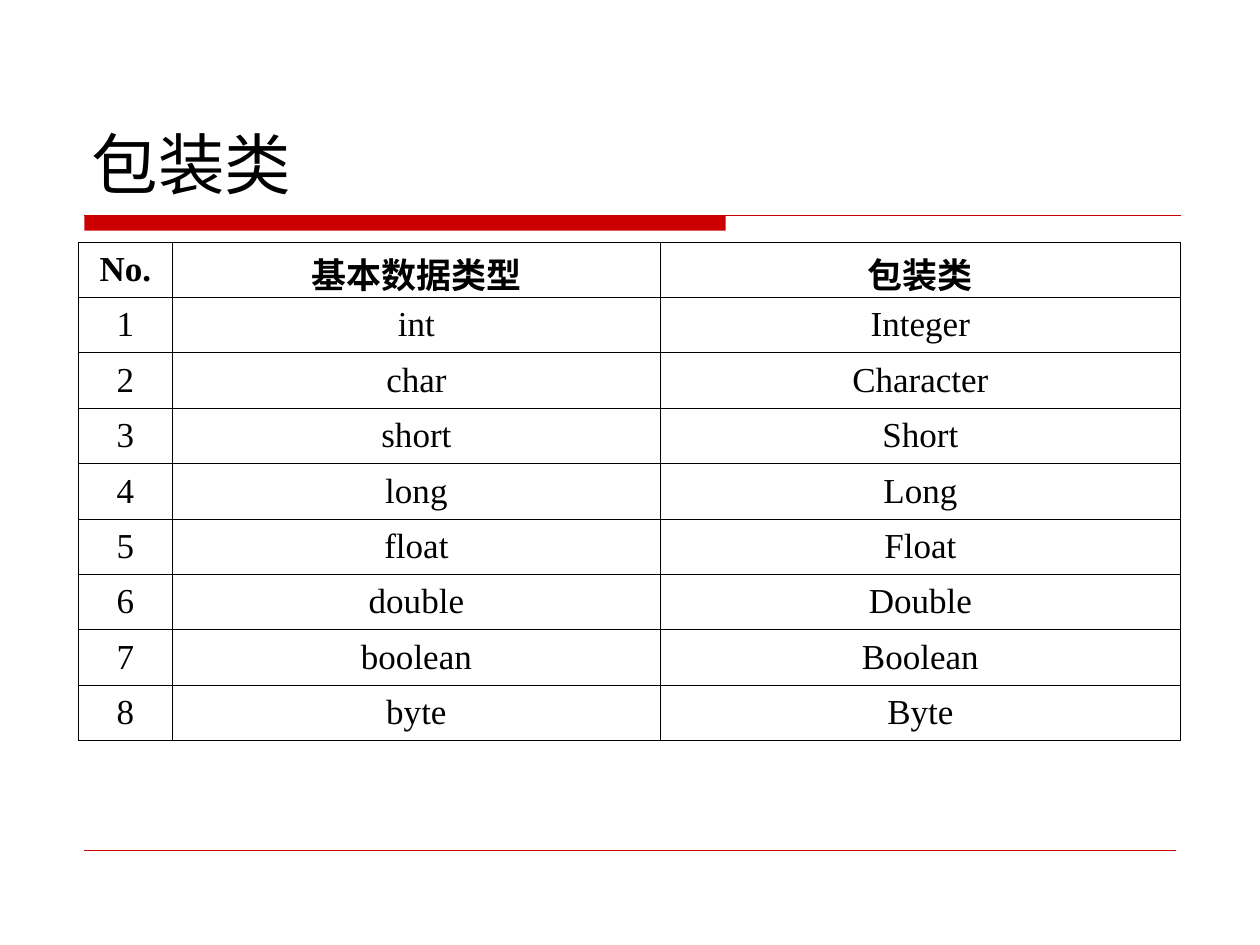
import dataclasses

import lxml.etree
import pptx
import pptx.dml.color
import pptx.enum.shapes
import pptx.enum.text
import pptx.oxml.ns
import pptx.util

Inches = pptx.util.Inches
Pt = pptx.util.Pt
ANCHOR = pptx.enum.text.MSO_ANCHOR
ALIGN = pptx.enum.text.PP_ALIGN
qn = pptx.oxml.ns.qn


@dataclasses.dataclass(frozen=True)
class Theme:
    red: str = "CC0000"
    ink: str = "000000"
    head: str = "DejaVu Sans"
    body: str = "Times New Roman"
    title: float = 38
    cell: float = 20
    grid: float = 0.45


THEME = Theme()
TITLE = "包装类"
HEADER = ("No.", "基本数据类型", "包装类")
TYPES = (
    ("int", "Integer"),
    ("char", "Character"),
    ("short", "Short"),
    ("long", "Long"),
    ("float", "Float"),
    ("double", "Double"),
    ("boolean", "Boolean"),
    ("byte", "Byte"),
)
WIDTHS = (0.75, 3.87, 4.13)
ROW = 0.44


def color(code):
    return pptx.dml.color.RGBColor.from_string(code)


def write(frame, text, *, size, font, bold=False, align=ALIGN.LEFT, before=0):
    para = frame.paragraphs[0]
    para.alignment = align
    para.space_before = Pt(before)
    run = para.add_run()
    run.text = text
    run.font.size = Pt(size)
    run.font.name = font
    run.font.bold = bold
    run.font.color.rgb = color(THEME.ink)


def add_title(slide, text):
    box = slide.shapes.add_textbox(
        Inches(0.63), Inches(0.33), Inches(8.75), Inches(1.33))
    frame = box.text_frame
    frame.word_wrap = True
    frame.vertical_anchor = ANCHOR.BOTTOM
    write(frame, text, size=THEME.title, font=THEME.head)


def add_bar(slide, left, top, width, height):
    bar = slide.shapes.add_shape(
        pptx.enum.shapes.MSO_SHAPE.RECTANGLE,
        Inches(left), Inches(top), Inches(width), Inches(height))
    bar.shadow.inherit = False
    bar.fill.solid()
    bar.fill.fore_color.rgb = color(THEME.red)
    bar.line.fill.background()


def add_rule(slide, left, right, top, weight):
    rule = slide.shapes.add_connector(
        pptx.enum.shapes.MSO_CONNECTOR.STRAIGHT,
        Inches(left), Inches(top), Inches(right), Inches(top))
    rule.line.color.rgb = color(THEME.red)
    rule.line.width = Pt(weight)
    lxml.etree.SubElement(rule._element.spPr, qn("a:effectLst"))


def add_edges(cell):
    """Draw a thin border on all four sides of the cell."""
    props = cell._tc.get_or_add_tcPr()
    for place, side in enumerate(("a:lnL", "a:lnR", "a:lnT", "a:lnB")):
        edge = lxml.etree.Element(qn(side), w=str(Pt(THEME.grid)))
        fill = lxml.etree.SubElement(edge, qn("a:solidFill"))
        lxml.etree.SubElement(fill, qn("a:srgbClr"), val=THEME.ink)
        props.insert(place, edge)


def add_table(slide, rows):
    table = slide.shapes.add_table(
        len(rows), len(WIDTHS), Inches(0.62), Inches(1.92),
        Inches(sum(WIDTHS)), Inches(ROW * len(rows))).table
    table.horz_banding = False
    table.first_row = False
    for column, width in zip(table.columns, WIDTHS):
        column.width = Inches(width)
    for index, values in enumerate(rows):
        table.rows[index].height = Inches(ROW)
        for cell, text in zip(table.rows[index].cells, values):
            cell.fill.background()
            cell.vertical_anchor = ANCHOR.MIDDLE
            write(cell.text_frame, text, size=THEME.cell, font=THEME.body,
                  bold=index == 0, align=ALIGN.CENTER, before=5)
            add_edges(cell)


def main():
    deck = pptx.Presentation()
    deck.slide_width = Inches(10)
    deck.slide_height = Inches(7.5)
    slide = deck.slides.add_slide(deck.slide_layouts[6])
    add_bar(slide, 0.67, 1.71, 5.09, 0.12)
    add_rule(slide, 0.67, 9.37, 1.71, 0.75)
    add_rule(slide, 0.67, 9.33, 6.75, 0.25)
    add_title(slide, TITLE)
    body = [(str(n), *pair) for n, pair in enumerate(TYPES, 1)]
    add_table(slide, [HEADER, *body])
    deck.save("out.pptx")


if __name__ == "__main__":
    main()
